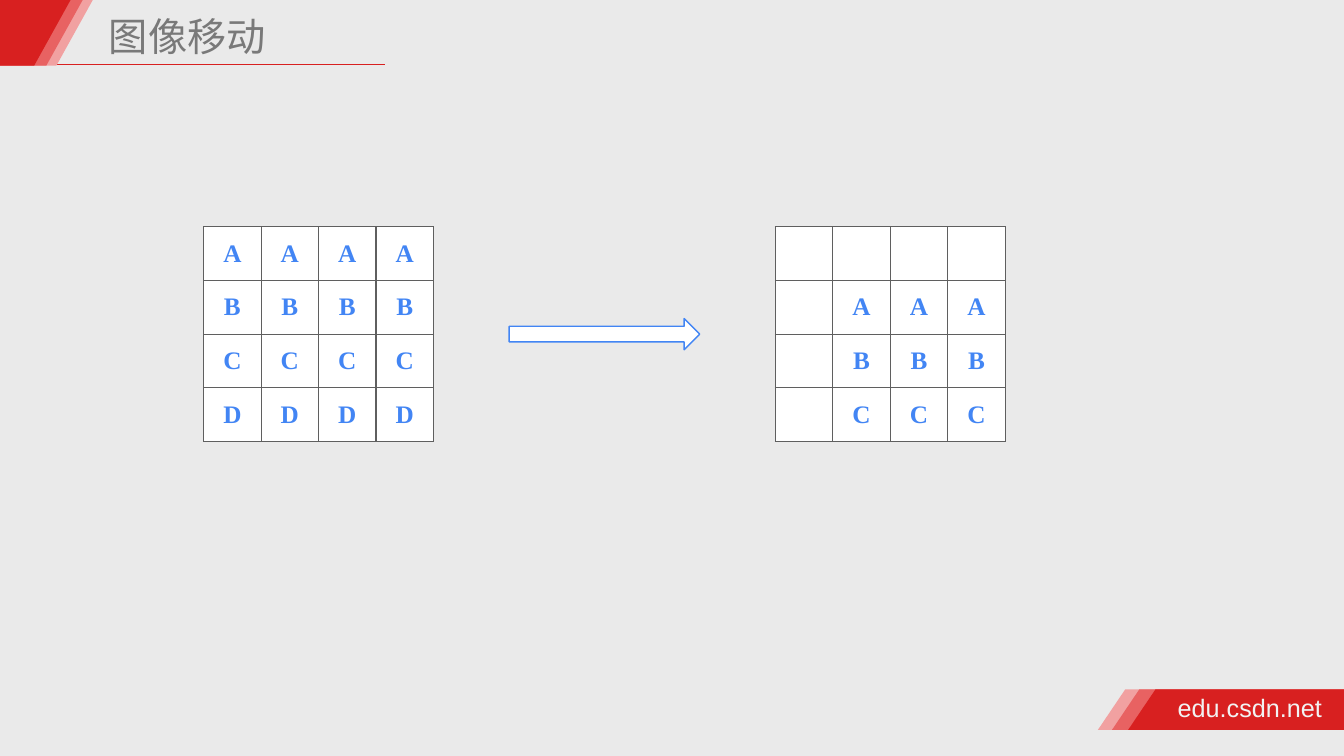
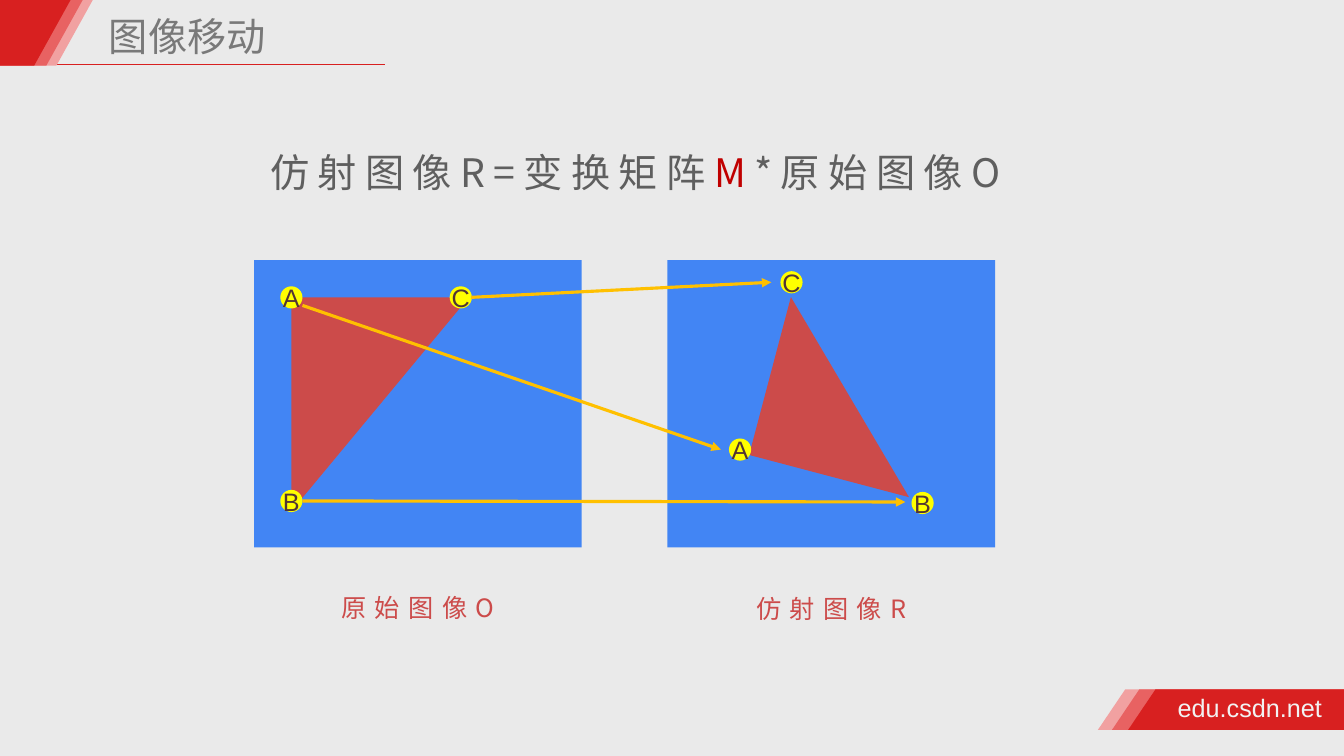
from dataclasses import dataclass

from lxml import etree
from pptx import Presentation
from pptx.dml.color import RGBColor
from pptx.enum.shapes import MSO_CONNECTOR, MSO_SHAPE
from pptx.enum.text import MSO_ANCHOR, MSO_AUTO_SIZE, PP_ALIGN
from pptx.oxml.ns import qn
from pptx.util import Inches, Pt

RECT, OVAL = MSO_SHAPE.RECTANGLE, MSO_SHAPE.OVAL
WEDGE, ARROW = MSO_SHAPE.RIGHT_TRIANGLE, MSO_SHAPE.RIGHT_ARROW
STRAIGHT = MSO_CONNECTOR.STRAIGHT
TOP, MIDDLE = MSO_ANCHOR.TOP, MSO_ANCHOR.MIDDLE
LEFT, CENTER = PP_ALIGN.LEFT, PP_ALIGN.CENTER
FIT = MSO_AUTO_SIZE.SHAPE_TO_FIT_TEXT


@dataclass(frozen=True)
class Theme:
    ground: str = "EAEAEA"
    bands: tuple = ("F1A1A1", "E86262", "D82020")
    red: str = "D82020"
    blue: str = "4285F4"
    brick: str = "CC4B4A"
    gold: str = "FFC000"
    yellow: str = "FFFF00"
    white: str = "FFFFFF"
    gray: str = "5F5F5F"
    crimson: str = "C00000"
    dark: str = "513535"
    silver: str = "797979"
    pale: str = "F2F2F2"
    cjk: str = "Noto Sans CJK SC"
    sans: str = "Arial"
    serif: str = "Times New Roman"
    large: int = 28
    small: int = 18


T = Theme()
HEAD = {"name": T.cjk, "size": Pt(T.large), "color": T.silver}
MATH = {**HEAD, "color": T.gray}
NOTE = {"name": T.cjk, "size": Pt(T.small), "color": T.brick}
SITE = {"name": T.sans, "size": Pt(T.small), "color": T.pale}
MARK = {**SITE, "color": T.dark}
CELL = {"name": T.serif, "size": Pt(T.small), "color": T.blue, "bold": True}

SLIM = dict.fromkeys(
    ("margin_left", "margin_top", "margin_right", "margin_bottom"), Inches(0.05))
BARE = dict.fromkeys(SLIM, 0)


def rgb(code):
    return RGBColor.from_string(code)


def put(item, values):
    """Set each attribute of item from a dict."""
    for key, value in values.items():
        setattr(item, key, value)


def write(para, text, look, gap=0):
    """Add a run in the given look; gap is the letter spacing in points."""
    run = para.add_run()
    run.text = text
    for key, value in look.items():
        if key == "color":
            run.font.color.rgb = rgb(value)
        else:
            setattr(run.font, key, value)
    props = run._r.get_or_add_rPr()
    etree.SubElement(props, qn("a:ea"), typeface=look["name"])
    if gap:
        props.set("spc", str(gap * 100))


def paint(shape, fill, edge=None):
    shape.shadow.inherit = False
    shape.fill.solid()
    shape.fill.fore_color.rgb = rgb(fill)
    if edge:
        shape.line.color.rgb = rgb(edge)
        shape.line.width = Pt(1)
    else:
        shape.line.fill.background()


def block(slide, kind, box, fill, edge=None, turn=0):
    shape = slide.shapes.add_shape(kind, *map(Inches, box))
    paint(shape, fill, edge)
    shape.rotation = turn
    return shape


def band(slide, points, fill):
    """Draw a closed polygon through the points."""
    first, *rest = [(Inches(x), Inches(y)) for x, y in points]
    path = slide.shapes.build_freeform(*first)
    path.add_line_segments(rest, close=True)
    paint(path.convert_to_shape(), fill)


def line(slide, start, end, color, width, tip=False):
    link = slide.shapes.add_connector(STRAIGHT, *map(Inches, start + end))
    link.line.color.rgb = rgb(color)
    link.line.width = Pt(width)
    if tip:
        etree.SubElement(link.line._get_or_add_ln(), qn("a:tailEnd"), type="triangle")
    etree.SubElement(link.element.spPr, qn("a:effectLst"))


def label(slide, box, parts, align=CENTER, gap=6, **frame):
    """Add a text box; parts are (text, look) pairs."""
    text = slide.shapes.add_textbox(*map(Inches, box)).text_frame
    put(text, {"word_wrap": True, "auto_size": FIT, **frame})
    para = text.paragraphs[0]
    para.alignment = align
    for words, look in parts:
        write(para, words, look, gap)


def dot(slide, name, x, y):
    """Draw a lettered dot with its top left corner at x, y."""
    text = block(slide, OVAL, (x, y, 0.22, 0.22), T.yellow).text_frame
    put(text, {**BARE, "word_wrap": False, "vertical_anchor": MIDDLE})
    text.paragraphs[0].alignment = CENTER
    write(text.paragraphs[0], name, MARK)


def border(cell):
    props = cell._tc.get_or_add_tcPr()
    for side in "LRTB":
        edge = etree.SubElement(props, qn("a:ln" + side), w=str(Pt(1)))
        fill = etree.SubElement(edge, qn("a:solidFill"))
        etree.SubElement(fill, qn("a:srgbClr"), val=T.gray)


def grid(slide, left, rows):
    """Draw a pixel grid; each row is a string, a space is an empty cell."""
    frame = slide.shapes.add_table(
        len(rows), len(rows[0]), *map(Inches, (left, 2.25, 2.28, 2.13)))
    put(frame.table, {"first_row": False, "horz_banding": False})
    for r, row in enumerate(rows):
        for c, mark in enumerate(row):
            cell = frame.table.cell(r, c)
            put(cell, {**BARE, "vertical_anchor": MIDDLE})
            border(cell)
            cell.fill.solid()
            cell.fill.fore_color.rgb = rgb(T.white)
            if mark.strip():
                para = cell.text_frame.paragraphs[0]
                para.alignment = CENTER
                write(para, mark, CELL)


def dress(deck, layout):
    """Give the layout its ground, bands, rule, web address and title place."""
    fill = deck.slide_master.background.fill
    fill.solid()
    fill.fore_color.rgb = rgb(T.ground)
    for holder in list(layout.placeholders):
        if holder.placeholder_format.idx:
            layout.shapes.element.remove(holder.element)
    title = layout.placeholders[0]
    put(title, dict(zip(("left", "top", "width", "height"),
                        map(Inches, (1.03, 0.12, 4.36, 0.53)))))
    put(title.text_frame, {**SLIM, "vertical_anchor": TOP, "auto_size": FIT})

    # Layouts cannot add shapes, so draw on a slide and move them over.
    draft = deck.slides.add_slide(layout)
    line(draft, (0.49, 0.64), (3.82, 0.64), T.red, 1)
    for x, color in zip((10.89, 11.03, 11.19), T.bands):
        band(draft, ((x, 7.24), (x + 0.27, 6.84), (13.33, 6.84), (13.33, 7.24)), color)
    for x, color in zip((0.92, 0.82, 0.7), T.bands):
        band(draft, ((0, 0), (x, 0), (x - 0.36, 0.65), (0, 0.65)), color)
    label(draft, (11.63, 6.82, 1.55, 0.4), [("edu.csdn.net", SITE)],
          LEFT, 0, **{**SLIM, "word_wrap": False})
    for shape in list(draft.shapes):
        if not shape.is_placeholder:
            layout.shapes.element.append(shape.element)
    return draft


def head(slide, text):
    para = slide.shapes.title.text_frame.paragraphs[0]
    put(para, {"alignment": LEFT, "line_spacing": 0.9})
    write(para, text, HEAD)


def shift(slide):
    head(slide, "图像移动")
    grid(slide, 2.02, ("AAAA", "BBBB", "CCCC", "DDDD"))
    grid(slide, 7.69, ("    ", " AAA", " BBB", " CCC"))
    block(slide, ARROW, (5.05, 3.16, 1.89, 0.31), T.white, T.blue)


def affine(slide):
    head(slide, "图像移动")
    panels = (
        (2.52, (2.71, 3.13, 2.12, 1.76), 90,
         {"A": (2.78, 2.84), "C": (4.46, 2.84), "B": (2.78, 4.86)}),
        (6.62, (7.61, 3.13, 1.64, 1.62), 14.8,
         {"C": (7.74, 2.69), "B": (9.04, 4.88), "A": (7.23, 4.35)}),
    )
    for left, box, turn, dots in panels:
        block(slide, RECT, (left, 2.58, 3.25, 2.85), T.blue)
        block(slide, WEDGE, box, T.brick, turn=turn)
        for name, spot in dots.items():
            dot(slide, name, *spot)
    for start, end in (((3, 3.03), (7.15, 4.46)),
                       ((3, 4.97), (8.98, 4.98)),
                       ((4.67, 2.95), (7.65, 2.8))):
        line(slide, start, end, T.gold, 2.25, tip=True)
    label(slide, (2.75, 5.83, 2.79, 0.4), [("原始图像O", NOTE)])
    label(slide, (6.85, 5.84, 2.79, 0.4), [("仿射图像R", NOTE)])
    label(slide, (1.53, 1.42, 9.54, 0.57),
          [("仿射图像R=变换矩阵", MATH),
           ("M", {**MATH, "color": T.crimson}),
           ("*原始图像O", MATH)])


def main():
    deck = Presentation()
    put(deck, {"slide_width": Inches(13.33), "slide_height": Inches(7.5)})
    layout = deck.slide_layouts[5]
    shift(dress(deck, layout))
    affine(deck.slides.add_slide(layout))
    deck.save("out.pptx")


if __name__ == "__main__":
    main()
